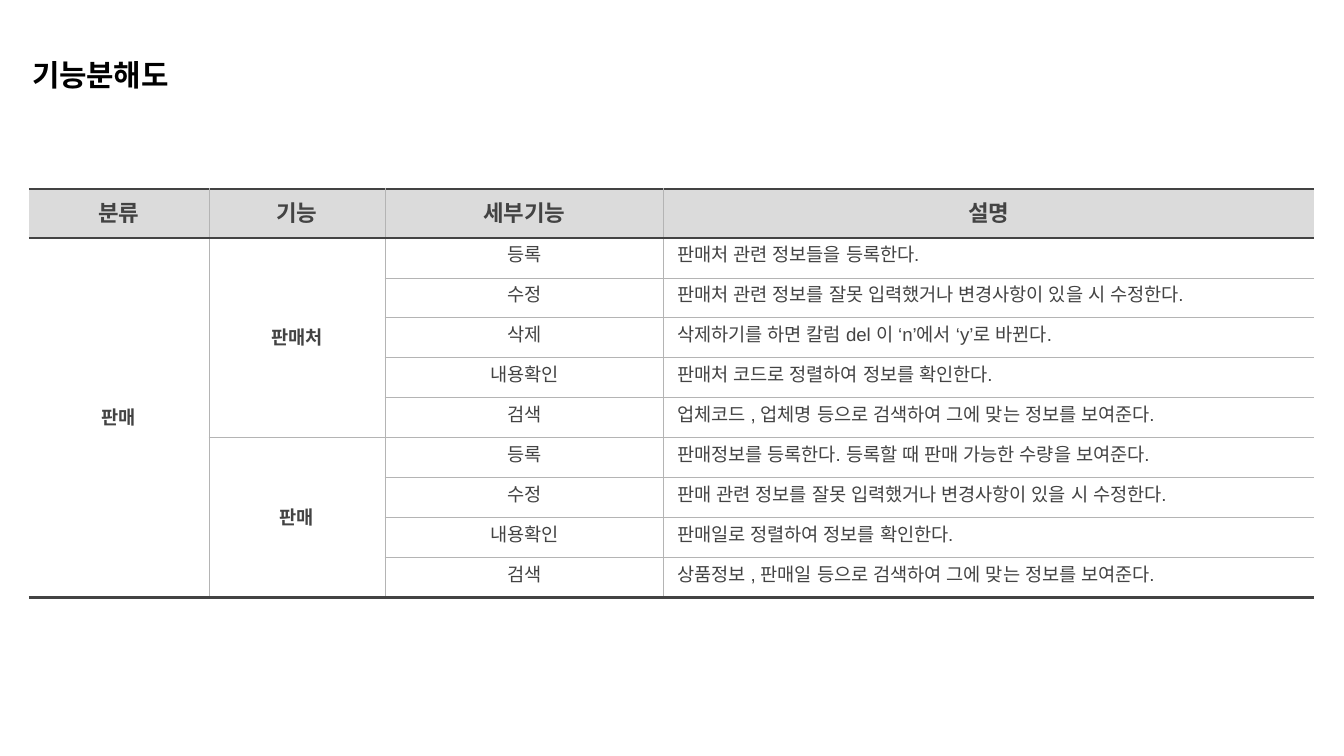
import dataclasses

import pptx
import pptx.dml.color
import pptx.enum.text
import pptx.oxml
import pptx.oxml.ns
import pptx.util

ALIGN = pptx.enum.text.PP_ALIGN
ANCHOR = pptx.enum.text.MSO_ANCHOR
PLAIN_TABLE = "{2D5ABB26-0587-4C30-8999-92F81FD0307C}"


@dataclasses.dataclass(frozen=True)
class Theme:
    font: str = "Arial"
    black: str = "000000"
    ink: str = "434343"
    rule: str = "B4B4B4"
    header: str = "DBDBDB"
    white: str = "FFFFFF"
    title_size: int = 16
    header_size: int = 12
    body_size: int = 10
    thick: float = 1.5
    thin: float = 0.5


THEME = Theme()


def px(n):
    return pptx.util.Emu(round(n * 914400 / 134.4))


def rgb(color):
    return pptx.dml.color.RGBColor.from_string(color)


def put_text(tf, text, size=THEME.body_size, color=THEME.ink, bold=False, align=ALIGN.LEFT):
    p = tf.paragraphs[0]
    p.alignment = align
    r = p.add_run()
    r.text = text
    r.font.name = THEME.font
    r.font.size = pptx.util.Pt(size)
    r.font.bold = bold
    r.font.color.rgb = rgb(color)
    ea = r._r.get_or_add_rPr().makeelement(pptx.oxml.ns.qn("a:ea"), {"typeface": THEME.font})
    r._r.rPr.find(pptx.oxml.ns.qn("a:latin")).addnext(ea)


class Deck:
    def __init__(self, theme, width, height):
        self.theme = theme
        self.prs = pptx.Presentation()
        self.prs.slide_width, self.prs.slide_height = px(width), px(height)
        self.s = None

    def add_slide(self):
        self.s = self.prs.slides.add_slide(self.prs.slide_layouts[5])

    def title(self, text, x, y, w, h):
        sp = self.s.shapes.title
        sp.left, sp.top, sp.width, sp.height = map(px, (x, y, w, h))
        tf = sp.text_frame
        tf.auto_size = pptx.enum.text.MSO_AUTO_SIZE.NONE
        tf.word_wrap = True
        tf.vertical_anchor = ANCHOR.TOP
        tf.margin_left = tf.margin_top = tf.margin_right = tf.margin_bottom = px(13)
        put_text(tf, text, size=self.theme.title_size, color=self.theme.black, bold=True)

    def border(self, cell, side, heavy):
        color = self.theme.ink if heavy else self.theme.rule
        width = pptx.util.Pt(self.theme.thick if heavy else self.theme.thin)
        cell._tc.get_or_add_tcPr().append(pptx.oxml.parse_xml(
            f'<a:ln{side} {pptx.oxml.ns.nsdecls("a")} w="{width}">'
            f'<a:solidFill><a:srgbClr val="{color}"/></a:solidFill></a:ln{side}>'))

    def frame_cell(self, cell, row, col, last_row, last_col):
        if col > 0:
            self.border(cell, "L", False)
        if col < last_col:
            self.border(cell, "R", False)
        top_heavy = row <= 1
        if top_heavy or not cell.is_spanned:
            self.border(cell, "T", top_heavy)
        height = cell.span_height if cell.is_merge_origin else 1
        bottom_heavy = row == 0 or row + height > last_row
        if bottom_heavy or not cell.is_spanned:
            self.border(cell, "B", bottom_heavy)

    def table(self, rows, spans, x, y, widths, header_height, row_height):
        heights = [header_height] + [row_height] * (len(rows) - 1)
        frame = self.s.shapes.add_table(
            len(rows), len(widths), px(x), px(y), px(sum(widths)), px(sum(heights)))
        table = frame.table
        table.first_row = table.horz_banding = False
        table._tbl.tblPr.find(pptx.oxml.ns.qn("a:tableStyleId")).text = PLAIN_TABLE
        for column, width in zip(table.columns, widths):
            column.width = px(width)
        for row, height in zip(table.rows, heights):
            row.height = px(height)
        for first, last, col in spans:
            table.cell(first, col).merge(table.cell(last, col))

        last_col = len(widths) - 1
        for i, texts in enumerate(rows):
            for j, text in enumerate(texts):
                cell = table.cell(i, j)
                self.frame_cell(cell, i, j, len(rows) - 1, last_col)
                cell.fill.solid()
                cell.fill.fore_color.rgb = rgb(self.theme.white if i else self.theme.header)
                strong = i == 0 or cell.is_merge_origin
                cell.vertical_anchor = ANCHOR.MIDDLE if strong else ANCHOR.TOP
                if text:
                    put_text(
                        cell.text_frame, text, bold=strong,
                        size=self.theme.body_size if i else self.theme.header_size,
                        align=ALIGN.LEFT if i and j == last_col else ALIGN.CENTER)

    def save(self):
        self.prs.save("out.pptx")


ROWS = [
    ("분류", "기능", "세부기능", "설명"),
    ("판매", "판매처", "등록", "판매처 관련 정보들을 등록한다."),
    ("", "", "수정", "판매처 관련 정보를 잘못 입력했거나 변경사항이 있을 시 수정한다."),
    ("", "", "삭제", "삭제하기를 하면 칼럼 del 이 ‘n’에서 ‘y’로 바뀐다."),
    ("", "", "내용확인", "판매처 코드로 정렬하여 정보를 확인한다."),
    ("", "", "검색", "업체코드 , 업체명 등으로 검색하여 그에 맞는 정보를 보여준다."),
    ("", "판매", "등록", "판매정보를 등록한다. 등록할 때 판매 가능한 수량을 보여준다."),
    ("", "", "수정", "판매 관련 정보를 잘못 입력했거나 변경사항이 있을 시 수정한다."),
    ("", "", "내용확인", "판매일로 정렬하여 정보를 확인한다."),
    ("", "", "검색", "상품정보 , 판매일 등으로 검색하여 그에 맞는 정보를 보여준다."),
]
SPANS = [(1, 9, 0), (1, 5, 1), (6, 9, 1)]


def main():
    deck = Deck(THEME, 1344, 756)
    deck.add_slide()
    deck.title("기능분해도", 19, 44, 363, 85)
    deck.table(ROWS, SPANS, 29, 189, (180, 176, 279, 650), 49, 40)
    deck.save()


if __name__ == "__main__":
    main()
